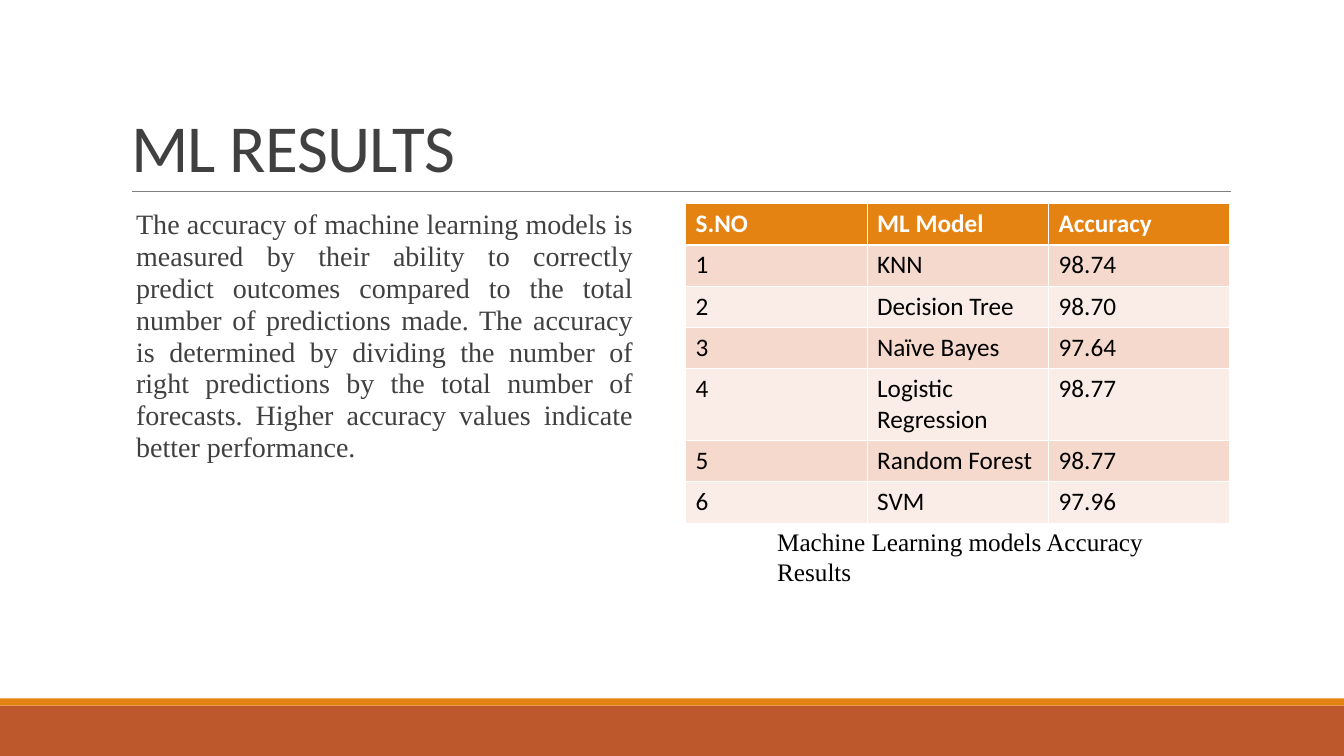
"""Build the ML results slide with its explanation and accuracy table."""
import pptx
import pptx.dml.color
import pptx.enum.shapes
import pptx.enum.text
import pptx.oxml.ns
import pptx.util
import lxml.etree

TITLE = "ML RESULTS"
BODY = (
    "The accuracy of machine learning models is measured by their ability to correctly "
    "predict outcomes compared to the total number of predictions made. The accuracy is "
    "determined by dividing the number of right predictions by the total number of "
    "forecasts. Higher accuracy values indicate better performance."
)
CAPTION = "Machine Learning models Accuracy Results"
ROWS = [
    ("S.NO", "ML Model", "Accuracy"),
    ("1", "KNN", "98.74"),
    ("2", "Decision Tree", "98.70"),
    ("3", "Naïve Bayes", "97.64"),
    ("4", "Logistic Regression", "98.77"),
    ("5", "Random Forest", "98.77"),
    ("6", "SVM", "97.96"),
]
WIDTH, HEIGHT = 13.33, 7.5
LEFT, CONTENT_TOP, COLUMN, GUTTER = 1.2, 2.02, 5.4, 0.2
TABLE_LEFT = LEFT + COLUMN + GUTTER
ROW_HEIGHT = 0.41
FOOTER_HEIGHT, STRIPE_HEIGHT = 0.5, 0.07
ORANGE, RUST, DARK, BLACK, WHITE = "E48312", "BD582C", "404040", "000000", "FFFFFF"
BANDS = ("FAEDE7", "F5D9CC")
SANS, SERIF = "Calibri", "Times New Roman"
ALIGN = pptx.enum.text.PP_ALIGN


def color(value):
    return pptx.dml.color.RGBColor.from_string(value)


def inches(*values):
    return [pptx.util.Inches(value) for value in values]


def place(shape, *bounds):
    shape.left, shape.top, shape.width, shape.height = inches(*bounds)


def style(para, font, size, ink, bold=False):
    para.font.name, para.font.size, para.font.bold = font, pptx.util.Pt(size), bold
    para.font.color.rgb = color(ink)


def add_band(slide, top, height, fill):
    band = slide.shapes.add_shape(
        pptx.enum.shapes.MSO_SHAPE.RECTANGLE, *inches(0, top, WIDTH, height))
    band.shadow.inherit = False
    band.fill.solid()
    band.fill.fore_color.rgb = color(fill)
    band.line.fill.background()


def add_rule(slide):
    rule = slide.shapes.add_connector(
        pptx.enum.shapes.MSO_CONNECTOR.STRAIGHT, *inches(1.31, 1.9, 12.21, 1.9))
    rule.line.color.rgb = color("808080")
    rule.line.width = pptx.util.Pt(0.5)
    lxml.etree.SubElement(
        rule._element.spPr, pptx.oxml.ns.qn("a:effectLst"))


def fill_title(title):
    place(title, LEFT, 0.31, 11, 1.59)
    frame = title.text_frame
    frame.text = TITLE
    frame.auto_size = pptx.enum.text.MSO_AUTO_SIZE.NONE
    frame.vertical_anchor = pptx.enum.text.MSO_ANCHOR.BOTTOM
    para = frame.paragraphs[0]
    para.alignment, para.line_spacing = ALIGN.LEFT, 0.85
    style(para, SANS, 48, DARK)
    para.runs[0].font._element.set("spc", "-50")


def fill_body(body):
    place(body, LEFT, CONTENT_TOP, COLUMN, 4.4)
    frame = body.text_frame
    frame.text = BODY
    frame.auto_size = pptx.enum.text.MSO_AUTO_SIZE.NONE
    frame.margin_left, frame.margin_right = inches(0, 0.32)
    para = frame.paragraphs[0]
    para.alignment, para.line_spacing = ALIGN.JUSTIFY, 0.95
    para.space_before = pptx.util.Pt(9)
    properties = para._p.get_or_add_pPr()
    properties.set("marL", str(pptx.util.Inches(0.15)))
    properties.set("indent", "0")
    lxml.etree.SubElement(properties, pptx.oxml.ns.qn("a:buNone"))
    style(para, SERIF, 20, DARK)


def add_results(slide):
    table = slide.shapes.add_table(
        len(ROWS), len(ROWS[0]),
        *inches(TABLE_LEFT, CONTENT_TOP, COLUMN, ROW_HEIGHT * len(ROWS))).table
    for row, values in enumerate(ROWS):
        header = row == 0
        for column, value in enumerate(values):
            cell = table.cell(row, column)
            cell.text = value
            cell.fill.solid()
            cell.fill.fore_color.rgb = color(ORANGE if header else BANDS[row % 2])
            style(cell.text_frame.paragraphs[0], SANS, 18,
                  WHITE if header else BLACK, header)


def add_caption(slide):
    box = slide.shapes.add_textbox(*inches(7.61, 5.17, 3.96, 1.31))
    box.text_frame.word_wrap = True
    box.text_frame.text = CAPTION
    style(box.text_frame.paragraphs[0], SERIF, 18, BLACK)


def main():
    deck = pptx.Presentation()
    deck.slide_width, deck.slide_height = inches(WIDTH, HEIGHT)
    slide = deck.slides.add_slide(deck.slide_layouts[1])
    footer_top = HEIGHT - FOOTER_HEIGHT
    add_band(slide, footer_top, FOOTER_HEIGHT, RUST)
    add_band(slide, footer_top - STRIPE_HEIGHT, STRIPE_HEIGHT, ORANGE)
    add_rule(slide)
    fill_title(slide.shapes.title)
    fill_body(slide.placeholders[1])
    add_results(slide)
    add_caption(slide)
    deck.save("out.pptx")


if __name__ == "__main__":
    main()
